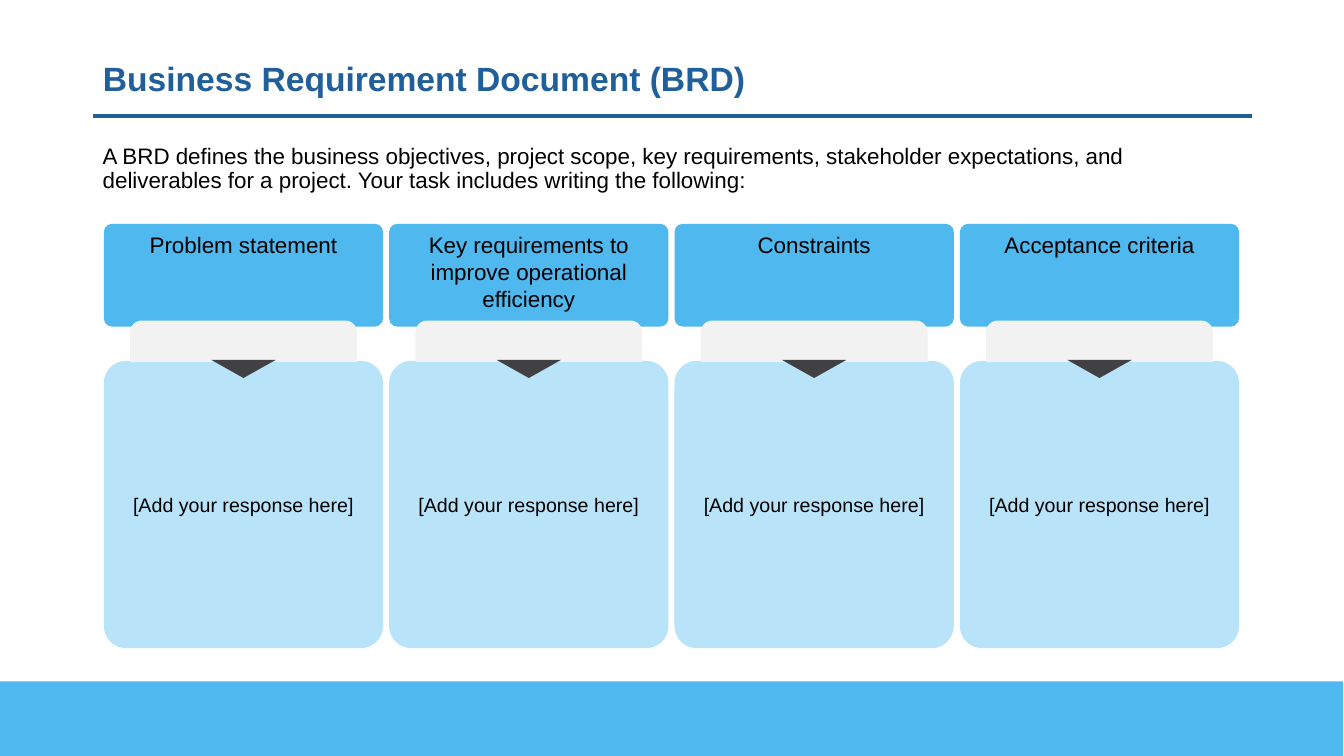
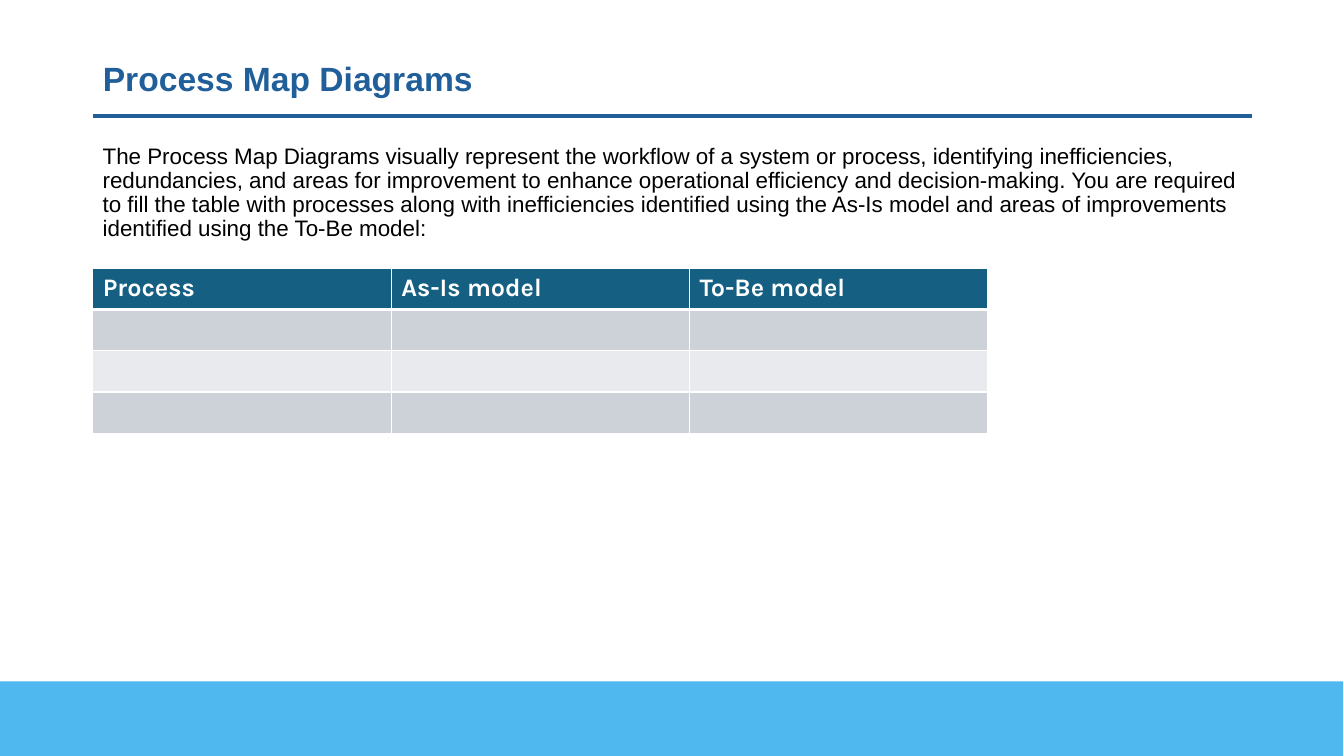
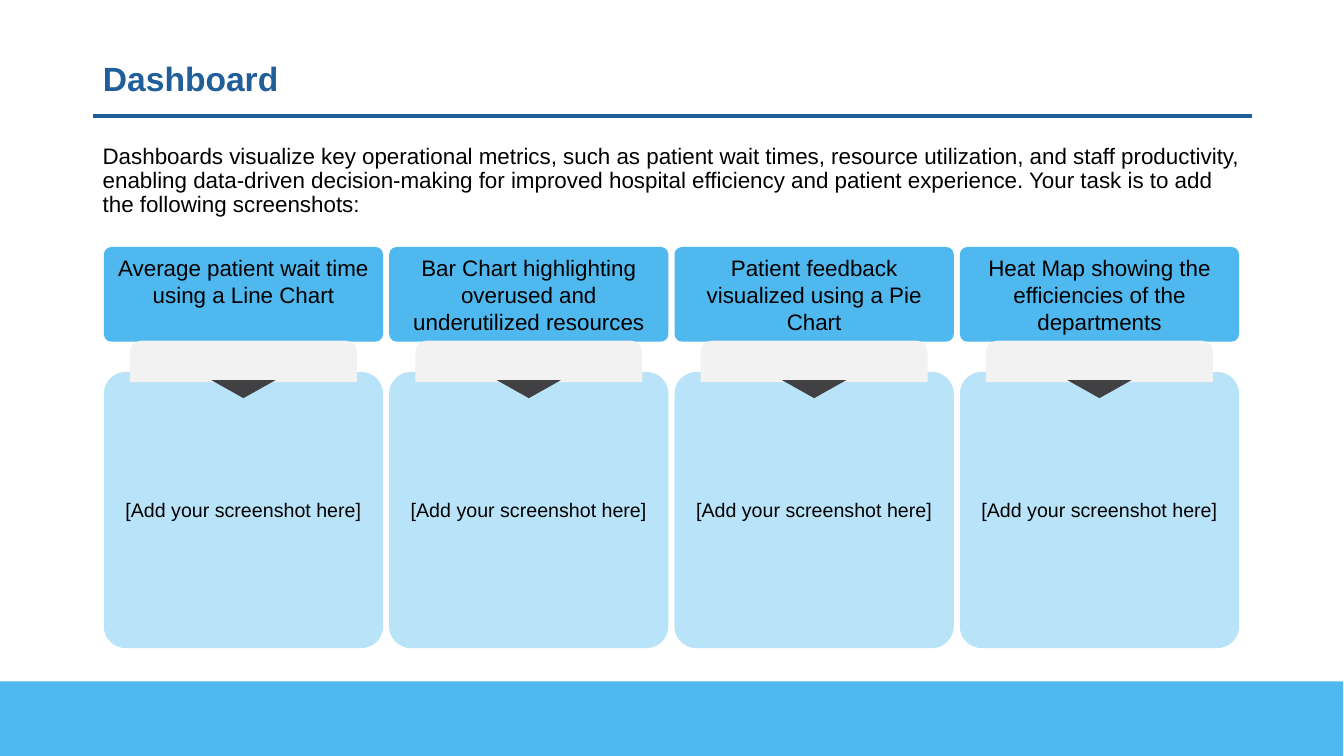
import pptx
import pptx.util
import pptx.dml.color
import pptx.enum.shapes
import pptx.enum.text
import pptx.oxml

Inches, Pt = pptx.util.Inches, pptx.util.Pt
SHAPE = pptx.enum.shapes.MSO_SHAPE
ANCHOR = pptx.enum.text.MSO_ANCHOR
ALIGN = pptx.enum.text.PP_ALIGN
DRAWING = "http://schemas.openxmlformats.org/drawingml/2006/main"

COLOURS = {
    "title": "215F9A",
    "band": "4EB8EF",
    "card": "B8E3F9",
    "tab": "F2F2F2",
    "arrow": "414042",
    "table_head": "156082",
    "row_dark": "CCD2D8",
    "row_light": "E8EAED",
    "text": "000000",
    "white": "FFFFFF",
}
MARGIN, CONTENT_WIDTH = 0.92, 11.5
CARD_LEFT, CARD_WIDTH, CARD_PITCH, CARD_BOTTOM = 1.03, 2.77, 2.83, 6.43
TAB_WIDTH, TAB_HEIGHT = 2.25, 0.41
ARROW_WIDTH, ARROW_HEIGHT = 0.64, 0.18
ROW_HEIGHT, COLUMN_WIDTH = 0.41, 2.96

PAGES = [
    {
        "title": "Business Requirement Document (BRD)",
        "intro": "A BRD defines the business objectives, project scope, key requirements, "
                 "stakeholder expectations, and deliverables for a project. "
                 "Your task includes writing the following:",
        "intro_height": 0.97,
        "headings": ["Problem statement",
                     "Key requirements to improve operational efficiency",
                     "Constraints",
                     "Acceptance criteria"],
        "prompt": "[Add your response here]",
        "heading_top": 2.22, "heading_height": 1.02, "tab_top": 3.18, "card_top": 3.58,
    },
    {
        "title": "Process Map Diagrams",
        "intro": "The Process Map Diagrams visually represent the workflow of a system or "
                 "process, identifying inefficiencies, redundancies, and areas for improvement "
                 "to enhance operational efficiency and decision-making. You are required to "
                 "fill the table with processes along with inefficiencies identified using the "
                 "As-Is model and areas of improvements identified using the To-Be model:",
        "intro_height": 1.07,
        "columns": ["Process", "As-Is model", "To-Be model"],
    },
    {
        "title": "Dashboard",
        "intro": "Dashboards visualize key operational metrics, such as patient wait times, "
                 "resource utilization, and staff productivity, enabling data-driven "
                 "decision-making for improved hospital efficiency and patient experience. "
                 "Your task is to add the following screenshots:",
        "intro_height": 0.83,
        "headings": ["Average patient wait time using a Line Chart",
                     "Bar Chart highlighting overused and underutilized resources",
                     "Patient feedback visualized using a Pie Chart",
                     "Heat Map showing the efficiencies of the departments"],
        "prompt": "[Add your screenshot here]",
        "heading_top": 2.45, "heading_height": 0.94, "tab_top": 3.38, "card_top": 3.69,
    },
]


def write(frame, text, size, colour="text", font="Arial", bold=False, align=ALIGN.LEFT):
    """Fill a text frame with one formatted paragraph and return the paragraph."""
    para = frame.paragraphs[0]
    para.text = text
    para.alignment = align
    para.font.name = font
    para.font.size = Pt(size)
    para.font.bold = bold
    para.font.color.rgb = pptx.dml.color.RGBColor.from_string(COLOURS[colour])
    return para


def add_filled(page, kind, left, top, width, height, colour, corner=None):
    shape = page.shapes.add_shape(kind, Inches(left), Inches(top), Inches(width), Inches(height))
    shape.shadow.inherit = False
    shape.fill.solid()
    shape.fill.fore_color.rgb = pptx.dml.color.RGBColor.from_string(COLOURS[colour])
    shape.line.fill.background()
    if corner is not None:
        shape.adjustments[0] = corner
    return shape


deck = pptx.Presentation()
deck.slide_width, deck.slide_height = Inches(13.33), Inches(7.5)

for content in PAGES:
    page = deck.slides.add_slide(deck.slide_layouts[5])

    title = page.shapes.title
    title.left, title.top = Inches(MARGIN), Inches(0.4)
    title.width, title.height = Inches(CONTENT_WIDTH), Inches(0.79)
    title.text_frame.vertical_anchor = ANCHOR.MIDDLE
    para = write(title.text_frame, content["title"], 24, "title", bold=True)
    para.line_spacing = 0.9

    rule = page.shapes.add_connector(
        pptx.enum.shapes.MSO_CONNECTOR.STRAIGHT,
        Inches(MARGIN), Inches(1.15), Inches(MARGIN + CONTENT_WIDTH), Inches(1.15))
    rule.line.color.rgb = pptx.dml.color.RGBColor.from_string(COLOURS["title"])
    rule.line.width = Pt(3)
    rule._element.spPr.append(pptx.oxml.parse_xml(f'<a:effectLst xmlns:a="{DRAWING}"/>'))

    intro = page.shapes.add_textbox(Inches(MARGIN), Inches(1.39),
                                    Inches(CONTENT_WIDTH), Inches(content["intro_height"]))
    intro.text_frame.word_wrap = True
    para = write(intro.text_frame, content["intro"], 16)
    para.line_spacing = 0.9
    para.space_before = Pt(10)

    add_filled(page, SHAPE.RECTANGLE, 0, 6.76, 13.32, 0.76, "band")

    for index, heading in enumerate(content.get("headings", [])):
        left = CARD_LEFT + index * CARD_PITCH
        middle = left + CARD_WIDTH / 2
        card_top, tab_top = content["card_top"], content["tab_top"]

        card = add_filled(page, SHAPE.ROUNDED_RECTANGLE, left, card_top,
                          CARD_WIDTH, CARD_BOTTOM - card_top, "card", 0.08)
        card.text_frame.vertical_anchor = ANCHOR.MIDDLE
        write(card.text_frame, content["prompt"], 14, align=ALIGN.CENTER)

        header = add_filled(page, SHAPE.ROUNDED_RECTANGLE, left, content["heading_top"],
                            CARD_WIDTH, content["heading_height"], "band", 0.08)
        header.text_frame.vertical_anchor = ANCHOR.TOP
        write(header.text_frame, heading, 16, align=ALIGN.CENTER)

        add_filled(page, SHAPE.ROUND_2_SAME_RECTANGLE, middle - TAB_WIDTH / 2, tab_top,
                   TAB_WIDTH, TAB_HEIGHT, "tab", 0.28)
        add_filled(page, SHAPE.FLOWCHART_MERGE, middle - ARROW_WIDTH / 2, tab_top + 0.39,
                   ARROW_WIDTH, ARROW_HEIGHT, "arrow")

    if "columns" in content:
        columns = content["columns"]
        row_fills = ["table_head", "row_dark", "row_light", "row_dark"]
        table = page.shapes.add_table(
            len(row_fills), len(columns), Inches(MARGIN), Inches(2.66),
            Inches(COLUMN_WIDTH * len(columns)), Inches(ROW_HEIGHT * len(row_fills))).table
        for row, row_fill in enumerate(row_fills):
            for column, label in enumerate(columns):
                cell = table.cell(row, column)
                cell.fill.solid()
                cell.fill.fore_color.rgb = pptx.dml.color.RGBColor.from_string(COLOURS[row_fill])
                if row == 0:
                    write(cell.text_frame, label, 18, "white", "Karla", bold=True)
                # Borders must precede the fill inside the cell properties.
                for place, side in enumerate("LRTB"):
                    thick = (row, side) in [(0, "B"), (1, "T")]
                    cell._tc.tcPr.insert(place, pptx.oxml.parse_xml(
                        f'<a:ln{side} xmlns:a="{DRAWING}" w="{Pt(3 if thick else 1)}">'
                        f'<a:solidFill><a:srgbClr val="{COLOURS["white"]}"/></a:solidFill>'
                        f'</a:ln{side}>'))

deck.save("out.pptx")
